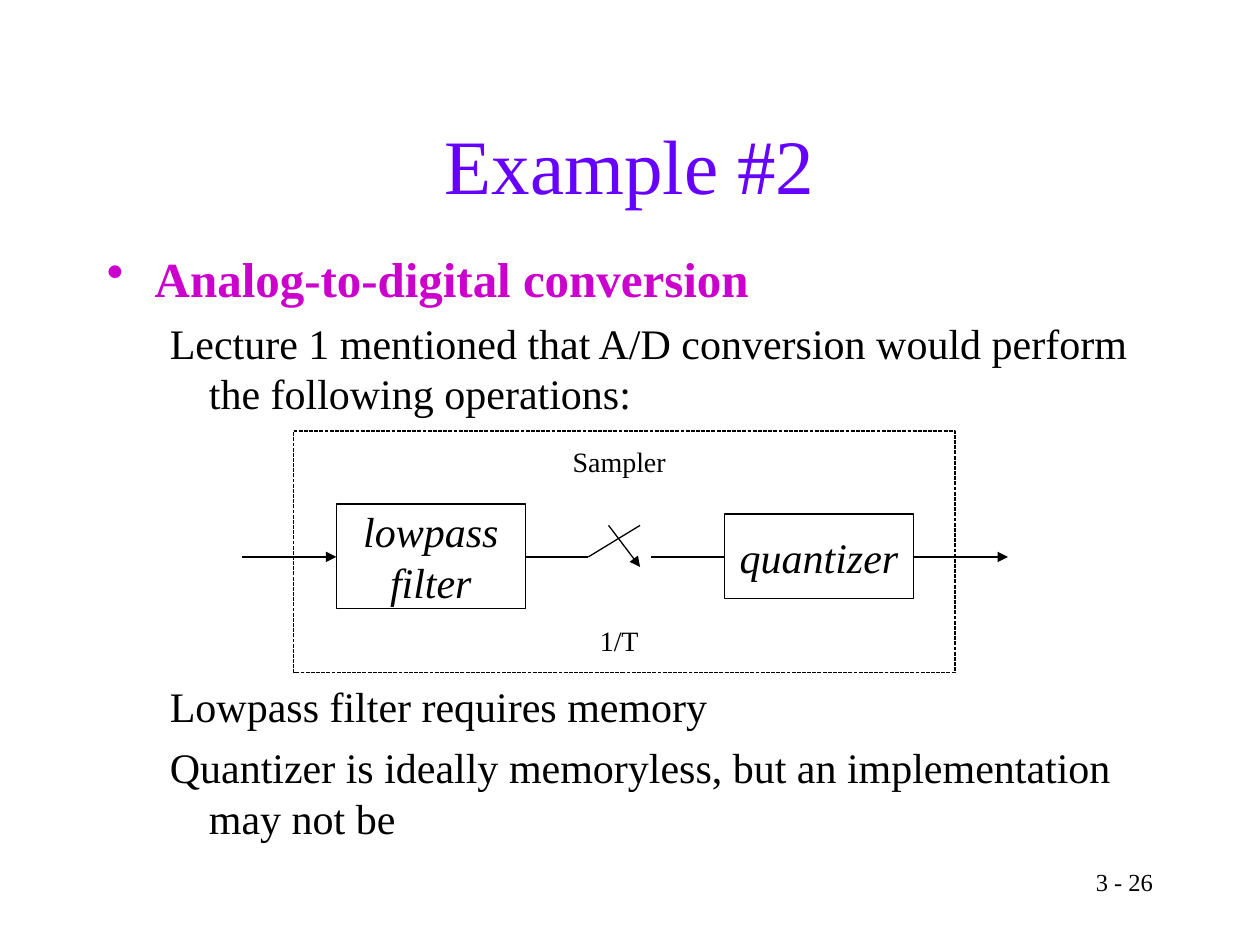
from pptx import Presentation
from pptx import util as u
from pptx.dml.color import RGBColor
from pptx.enum import dml, shapes, text
from pptx.oxml import parse_xml
from pptx.oxml.ns import nsdecls, qn
from lxml import etree

COLORS = {"ink": "000000", "title": "6600FF", "heading": "CC00CC"}
FONT = "Times New Roman"
SIGNAL_Y = 4.42
ALIGN = text.PP_ALIGN
MIDDLE = text.MSO_ANCHOR.MIDDLE


def color(name):
    return RGBColor.from_string(COLORS[name])


def add_para(frame, words, size=24, ink="ink", bold=False, italic=False,
             align=ALIGN.LEFT, before=0, margin=0, indent=0, bullet=None):
    first = frame.paragraphs[0]
    para = frame.add_paragraph() if first.runs else first
    para.alignment = align
    para.space_before = u.Pt(before)
    props = para._p.get_or_add_pPr()
    props.set("marL", str(u.Inches(margin)))
    props.set("indent", str(u.Inches(indent)))
    if bullet:
        bullet_color = etree.SubElement(props, qn("a:buClr"))
        etree.SubElement(bullet_color, qn("a:srgbClr"), val=COLORS[ink])
        etree.SubElement(props, qn("a:buChar"), char=bullet)
    para.text = words
    for span in para.runs:
        font = span.font
        font.name, font.size = FONT, u.Pt(size)
        font.bold, font.italic = bold, italic
        font.color.rgb = color(ink)


def add_text_box(page, left, top, width, height, anchor=text.MSO_ANCHOR.TOP):
    box = page.shapes.add_textbox(*map(u.Inches, (left, top, width, height)))
    box.text_frame.word_wrap = True
    box.text_frame.vertical_anchor = anchor
    return box.text_frame


def add_block(page, left, top, width, height, words=None, dash=None):
    block = page.shapes.add_shape(
        shapes.MSO_SHAPE.RECTANGLE, *map(u.Inches, (left, top, width, height)))
    block.shadow.inherit = False
    block.fill.background()
    block.line.color.rgb = color("ink")
    block.line.width = u.Pt(0.75)
    if dash:
        block.line.dash_style = dash
    if words:
        block.text_frame.word_wrap = False
        block.text_frame.vertical_anchor = MIDDLE
        add_para(block.text_frame, words, italic=True, align=ALIGN.CENTER)


def add_wire(page, start, end, arrow=False):
    wire = page.shapes.add_connector(
        shapes.MSO_CONNECTOR.STRAIGHT, *map(u.Inches, start + end))
    wire.line.color.rgb = color("ink")
    wire.line.width = u.Pt(0.75)
    if arrow:
        etree.SubElement(wire.line._get_or_add_ln(), qn("a:tailEnd"), type="triangle")
    wire._element.spPr.append(parse_xml(f"<a:effectLst {nsdecls('a')}/>"))


def add_body(page):
    frame = add_text_box(page, 0.75, 1.92, 8.5, 4.92)
    add_para(frame, "Analog-to-digital conversion", size=28, ink="heading", bold=True,
             before=7, margin=0.38, indent=-0.38, bullet="•")
    for words, before in (
        ("Lecture 1 mentioned that A/D conversion would perform the following operations:", 6),
        ("Lowpass filter requires memory", 150),
        ("Quantizer is ideally memoryless, but an implementation may not be", 6),
    ):
        add_para(frame, words, before=before, margin=0.81, indent=-0.31)


def add_diagram(page):
    add_block(page, 5.75, 4.08, 1.5, 0.67, "quantizer")
    add_block(page, 2.67, 4, 1.5, 0.83, "lowpass\vfilter")
    for words, top in (("Sampler", 3.5), ("1/T", 4.92)):
        label = add_text_box(page, 4.25, top, 1.33, 0.33, MIDDLE)
        add_para(label, words, size=16, align=ALIGN.CENTER)
    for left, right, arrow in (
        (1.92, 2.67, True), (4.17, 4.67, False),
        (5.17, 5.75, False), (7.25, 8, True),
    ):
        add_wire(page, (left, SIGNAL_Y), (right, SIGNAL_Y), arrow)
    add_wire(page, (4.67, SIGNAL_Y), (5.08, 4.17))
    add_wire(page, (4.83, 4.17), (5.08, 4.5), arrow=True)
    add_block(page, 2.33, 3.42, 5.25, 1.92, dash=dml.MSO_LINE.SQUARE_DOT)


def main():
    deck = Presentation()
    deck.slide_width, deck.slide_height = u.Inches(10), u.Inches(7.5)
    page = deck.slides.add_slide(deck.slide_layouts[6])
    number = add_text_box(page, 7.17, 6.83, 2.08, 0.5)
    add_para(number, "3 - 26", size=14, align=ALIGN.RIGHT)
    title = add_text_box(page, 0.75, 0.67, 8.5, 1.25, MIDDLE)
    add_para(title, "Example #2", size=44, ink="title", align=ALIGN.CENTER)
    add_body(page)
    add_diagram(page)
    deck.save("out.pptx")


if __name__ == "__main__":
    main()
